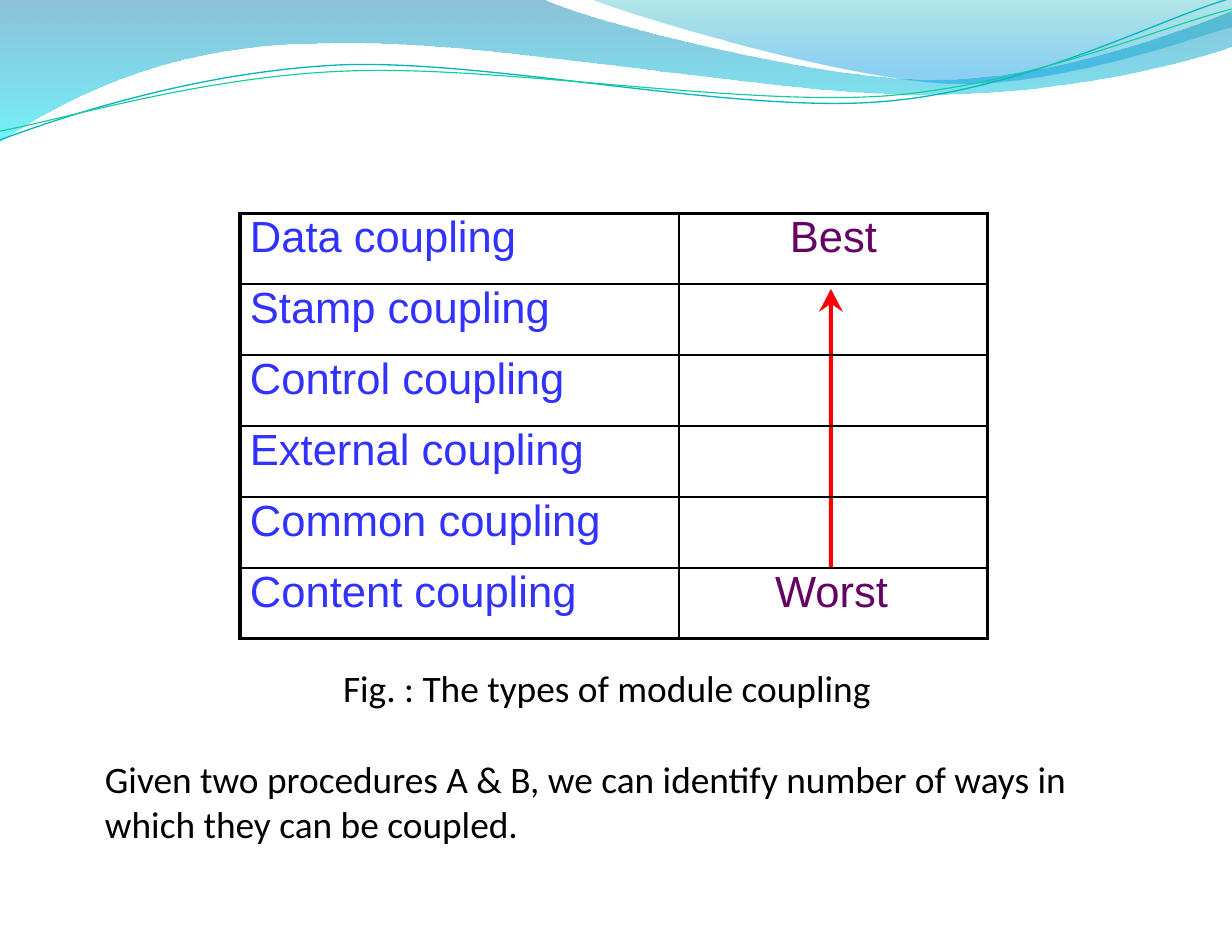
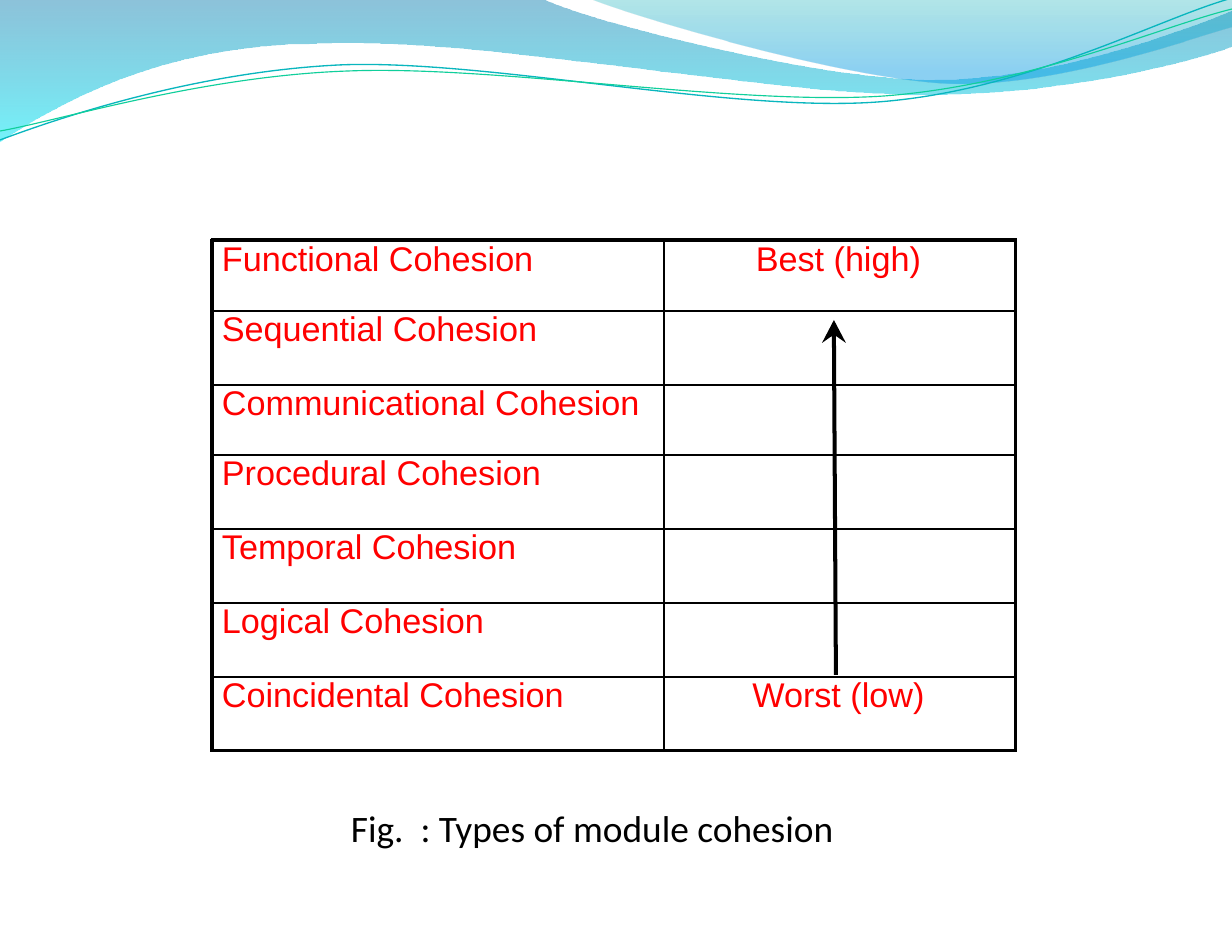
import lxml.etree
import pptx
import pptx.dml.color
import pptx.enum.text
import pptx.oxml.ns
import pptx.util


def px(n):
    return pptx.util.Emu(round(n * 914400 / 112))


def rgb(code):
    return pptx.dml.color.RGBColor.from_string(code)


qn = pptx.oxml.ns.qn
Pt = pptx.util.Pt
BLACK, RED, BLUE, PURPLE = "000000", "FF0000", "3232FF", "650065"

waves = [
    {"start": (0, 0),
     "segments": [(542, -1), (586, 21, 818, 80, 934, 80), (1051, 80, 1180, 32, 1232, 11),
                  (1233, 46), (1212, 56, 1072, 96, 918, 95), (766, 95, 470, 36, 317, 44),
                  (159, 45, 56, 105, -1, 143)],
     "stops": [(0, "0079AD", 45), (1, "00E9F7", 55)]},
    {"start": (590, -1),
     "segments": [(627, 15, 840, 78, 948, 83), (1054, 87, 1185, 40, 1232, 27), (1232, 0)],
     "stops": [(0, "00ABB4", 30), (0.8, "0099E4", 45)]},
    {"start": (0, 140),
     "segments": [(59, 118, 194, 72, 340, 65), (487, 59, 730, 113, 878, 102),
                  (1026, 91, 1156, 20, 1229, -1)],
     "line": ("09B6BE", 0.85)},
    {"start": (0, 131),
     "segments": [(58, 121, 202, 76, 348, 71), (496, 65, 736, 106, 884, 96),
                  (1030, 85, 1159, 27, 1232, 9)],
     "line": ("10CF9B", 0.75)},
]

pages = [
    {"names": ["Data coupling", "Stamp coupling", "Control coupling",
               "External coupling", "Common coupling", "Content coupling"],
     "ends": [("Best", 0), ("Worst", 4)], "colors": (BLUE, PURPLE), "size": 28,
     "at": (240, 213), "cols": (439, 309), "rows": [71] * 6,
     "tip": (831, 289), "length": 280, "lean": 0, "arrow_color": RED,
     "texts": [("Given two procedures A & B, we can identify number of ways in "
                "which they can be coupled.", 105, 756, 1034, 91),
               ("Fig. : The types of module coupling", 343, 665, 567, 45)]},
    {"names": ["Functional Cohesion", "Sequential Cohesion", "Communicational Cohesion",
               "Procedural Cohesion", "Temporal Cohesion", "Logical Cohesion",
               "Coincidental Cohesion"],
     "ends": [("Best (high)", 3), ("Worst (low)", 3)], "colors": (RED, RED), "size": 22,
     "at": (212, 240), "cols": (452, 352), "rows": [71, 74, 70] + [74] * 4,
     "tip": (834, 320), "length": 355, "lean": 2, "arrow_color": BLACK,
     "texts": [("Fig.  : Types of module cohesion", 351, 805, 532, 45)]},
]

prs = pptx.Presentation()
prs.slide_width, prs.slide_height = px(1232), px(952)

for page in pages:
    s = prs.slides.add_slide(prs.slide_layouts[6])

    for wave in waves:
        points = [seg[i:i + 2] for seg in wave["segments"] for i in range(0, len(seg), 2)]
        fb = s.shapes.build_freeform(*map(px, wave["start"]))
        fb.add_line_segments([(px(x), px(y)) for x, y in points], close="stops" in wave)
        sp = fb.convert_to_shape()
        lines = list(sp._element.iter(qn("a:lnTo")))
        for seg in wave["segments"]:
            group, lines = lines[:len(seg) // 2], lines[len(seg) // 2:]
            if len(group) == 3:
                curve = lxml.etree.Element(qn("a:cubicBezTo"))
                group[0].addprevious(curve)
                for line in group:
                    curve.append(line[0])
                    line.getparent().remove(line)
        sp.shadow.inherit = False
        if "stops" in wave:
            sp.line.fill.background()
            sp.fill.gradient()
            sp.fill.gradient_angle = 270
            for stop, (pos, color, _) in zip(sp.fill.gradient_stops, wave["stops"]):
                stop.position = pos
                stop.color.rgb = rgb(color)
            for clr, (_, _, alpha) in zip(sp._element.spPr.iter(qn("a:srgbClr")), wave["stops"]):
                lxml.etree.SubElement(clr, qn("a:alpha"), val=str(alpha * 1000))
        else:
            color, width = wave["line"]
            sp.fill.background()
            sp.line.color.rgb = rgb(color)
            sp.line.width = Pt(width)

    for text, left, top, width, height in page["texts"]:
        tf = s.shapes.add_textbox(px(left), px(top), px(width), px(height)).text_frame
        tf.word_wrap = True
        tf.margin_left = tf.margin_right = tf.margin_top = tf.margin_bottom = 0
        tf.text = text
        r = tf.paragraphs[0].runs[0]
        r.font.name, r.font.size = "Calibri", Pt(24)
        r.font.color.rgb = rgb(BLACK)

    x, y = page["tip"]
    length, lean = page["length"], page["lean"]
    outline = [(12, 23), (2, 16), (2 + lean, length), (lean - 2, length), (-2, 16), (-12, 23)]
    fb = s.shapes.build_freeform(px(x), px(y))
    fb.add_line_segments([(px(x + dx), px(y + dy)) for dx, dy in outline], close=True)
    arrow = fb.convert_to_shape()
    arrow.shadow.inherit = False
    arrow.fill.solid()
    arrow.fill.fore_color.rgb = rgb(page["arrow_color"])
    arrow.line.fill.background()

    left, top = page["at"]
    cols, rows = page["cols"], page["rows"]
    last = len(rows) - 1
    ratings = {0: page["ends"][0], last: page["ends"][1]}
    table = s.shapes.add_table(len(rows), 2, px(left), px(top),
                               px(sum(cols)), px(sum(rows))).table
    table.first_row = table.horz_banding = False
    for j, width in enumerate(cols):
        table.columns[j].width = px(width)
    for i, height in enumerate(rows):
        table.rows[i].height = px(height)
        for j, (text, inset) in enumerate([(page["names"][i], 0), ratings.get(i, ("", 0))]):
            cell = table.cell(i, j)
            cell.margin_left = px(10) if j == 0 else 0
            cell.margin_right = px(inset)
            cell.margin_top = cell.margin_bottom = 0
            cell.text = text
            p = cell.text_frame.paragraphs[0]
            if j == 1:
                p.alignment = pptx.enum.text.PP_ALIGN.CENTER
            for r in p.runs:
                r.font.name, r.font.size = "Arial", Pt(page["size"])
                r.font.color.rgb = rgb(page["colors"][j])
            tcPr = cell._tc.get_or_add_tcPr()
            for side, outer in (("L", j == 0), ("R", j == 1), ("T", i == 0), ("B", i == last)):
                ln = lxml.etree.SubElement(tcPr, qn("a:ln" + side),
                                           w=str(Pt(2.25 if outer else 0.96)))
                fill = lxml.etree.SubElement(ln, qn("a:solidFill"))
                lxml.etree.SubElement(fill, qn("a:srgbClr"), val=BLACK)
            cell.fill.background()

prs.save("out.pptx")
